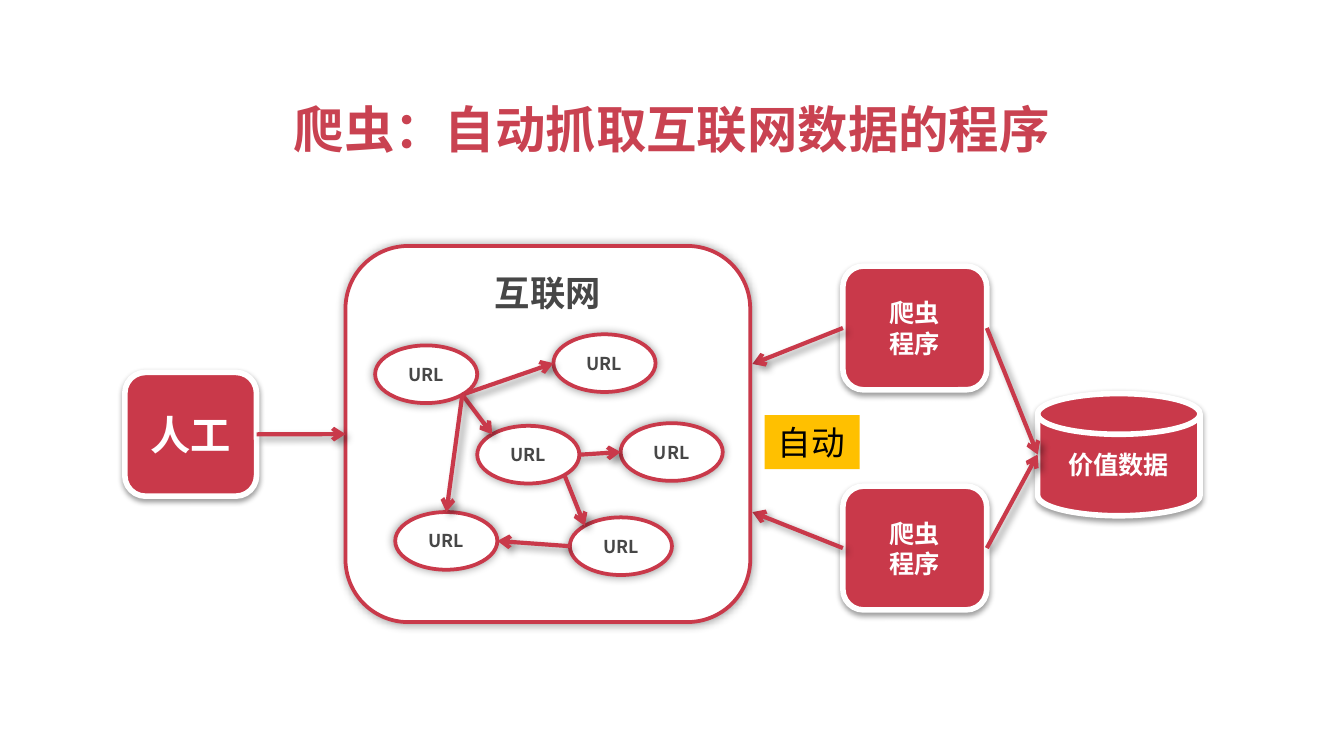
import math

from lxml import etree
from pptx import Presentation
from pptx import util as u
from pptx.dml.color import RGBColor
from pptx.enum import shapes, text
from pptx.oxml import ns

FONT = "Noto Sans CJK SC"
RED, WHITE, GREY = "C9394A", "FFFFFF", "474747"
# Shadows: opacity %, blur pt, distance pt, angle in degrees
DROP, GLOW, CAST = (38, 3.1, 1.6, 90), (40, 5, 0, 0), (40, 4, 3, 45)
KIND = shapes.MSO_SHAPE


def color(code):
    return RGBColor.from_string(code)


def add(parent, tag, **attrs):
    """Append a DrawingML child element."""
    node = etree.SubElement(parent, ns.qn("a:" + tag))
    for key, value in attrs.items():
        node.set(key, str(value))
    return node


def shade(effects, shadow):
    """Put a black outer shadow in an effect list."""
    alpha, blur, dist, angle = shadow
    outer = add(effects, "outerShdw", blurRad=int(u.Pt(blur)),
                dist=int(u.Pt(dist)), dir=angle * 60000, rotWithShape=0)
    add(add(outer, "srgbClr", val="000000"), "alpha", val=alpha * 1000)


def site(oval, angle):
    """Point on an oval's rim in cm, angle clockwise from the right."""
    turn = math.radians(angle)
    x = oval.left + oval.width / 2 * (1 + math.cos(turn))
    y = oval.top + oval.height / 2 * (1 + math.sin(turn))
    return u.Emu(int(x)).cm, u.Emu(int(y)).cm


class Deck:
    def __init__(self, width, height):
        self.file = Presentation()
        self.file.slide_width, self.file.slide_height = u.Cm(width), u.Cm(height)
        self.slide = self.file.slides.add_slide(self.file.slide_layouts[6])

    def words(self, frame, lines, size, ink, bold=True,
              align=text.PP_ALIGN.CENTER, anchor=text.MSO_ANCHOR.MIDDLE):
        frame.vertical_anchor = anchor
        for i, line in enumerate(lines):
            para = frame.add_paragraph() if i else frame.paragraphs[0]
            para.alignment = align
            run = para.add_run()
            run.text = line
            font = run.font
            font.size, font.bold, font.name = u.Pt(size), bold, FONT
            font.color.rgb = color(ink)
            add(run._r.get_or_add_rPr(), "ea", typeface=FONT)

    def label(self, box, words, size, ink, fill=None, wrap=True, **style):
        item = self.slide.shapes.add_textbox(*map(u.Cm, box))
        item.text_frame.word_wrap = wrap
        if fill:
            item.fill.solid()
            item.fill.fore_color.rgb = color(fill)
        self.words(item.text_frame, [words], size, ink, **style)

    def shape(self, kind, box, lines, size, fill=RED, edge=WHITE, ink=WHITE,
              width=3, shadow=DROP, **style):
        item = self.slide.shapes.add_shape(kind, *map(u.Cm, box))
        item.fill.solid()
        item.fill.fore_color.rgb = color(fill)
        item.line.color.rgb = color(edge)
        item.line.width = u.Pt(width)
        item.shadow.inherit = False
        shade(item._element.spPr.find(ns.qn("a:effectLst")), shadow)
        self.words(item.text_frame, lines, size, ink, **style)
        return item

    def outline(self, kind, box, words, size, **style):
        """White shape with a red rim and a soft glow."""
        return self.shape(kind, box, [words], size, fill=WHITE, edge=RED,
                          ink=GREY, width=2, shadow=GLOW, **style)

    def arrow(self, start, end):
        """Arrow between ends, each a point in cm or a (shape, side) pair."""
        ends = [p if isinstance(p[0], (int, float)) else (0, 0)
                for p in (start, end)]
        line = self.slide.shapes.add_connector(
            shapes.MSO_CONNECTOR.STRAIGHT, *map(u.Cm, ends[0] + ends[1]))
        for spot, join in ((start, line.begin_connect), (end, line.end_connect)):
            if not isinstance(spot[0], (int, float)):
                join(*spot)
        line.line.color.rgb = color(RED)
        line.line.width = u.Pt(2.25)
        props = line._element.spPr
        add(props.find(ns.qn("a:ln")), "tailEnd", type="arrow")
        shade(add(props, "effectLst"), CAST)


def main():
    deck = Deck(25.4, 14.29)
    deck.label((2.41, 1.37, 20.57, 2.13), "爬虫：自动抓取互联网数据的程序", 27, "C94251")

    bots = [deck.shape(KIND.ROUNDED_RECTANGLE, (15.93, y, 2.72, 2.34),
                       ["爬虫", "程序"], 13.5) for y in (5.03, 9.19)]
    for bot, y in zip(bots, (6.88, 9.68)):
        deck.arrow((bot, 1), (14.22, y))
    deck.shape(KIND.FLOWCHART_MAGNETIC_DISK, (19.61, 7.44, 3.07, 2.31),
               ["价值数据"], 13.5)
    for bot in bots:
        deck.arrow((bot, 3), (19.61, 8.59))

    web = deck.outline(KIND.ROUNDED_RECTANGLE, (6.53, 4.65, 7.65, 7.11),
                       "互联网", 18.9, anchor=text.MSO_ANCHOR.TOP)
    spots = [(7.09, 6.53), (9.02, 8.05), (10.77, 9.78),
             (10.46, 6.32), (7.47, 9.68), (11.73, 8)]
    urls = [deck.outline(KIND.OVAL, (x, y, 1.93, 1.09), "URL", 9.5)
            for x, y in spots]
    # From oval, angle; to oval, angle
    links = [(0, 45, 3, 180), (0, 45, 1, 225), (0, 45, 4, 270),
             (1, 0, 5, 180), (1, 45, 2, 225), (2, 180, 4, 0)]
    for a, out, b, into in links:
        deck.arrow(site(urls[a], out), site(urls[b], into))

    man = deck.shape(KIND.ROUNDED_RECTANGLE, (2.36, 7.04, 2.49, 2.34),
                     ["人工"], 21.6)
    deck.arrow((man, 3), (web, 1))
    deck.label((14.45, 7.85, 1.8, 1.02), "自动", 18, "000000", fill="FFC000",
               wrap=False, bold=False, align=text.PP_ALIGN.LEFT,
               anchor=text.MSO_ANCHOR.TOP)
    deck.file.save("out.pptx")


if __name__ == "__main__":
    main()
